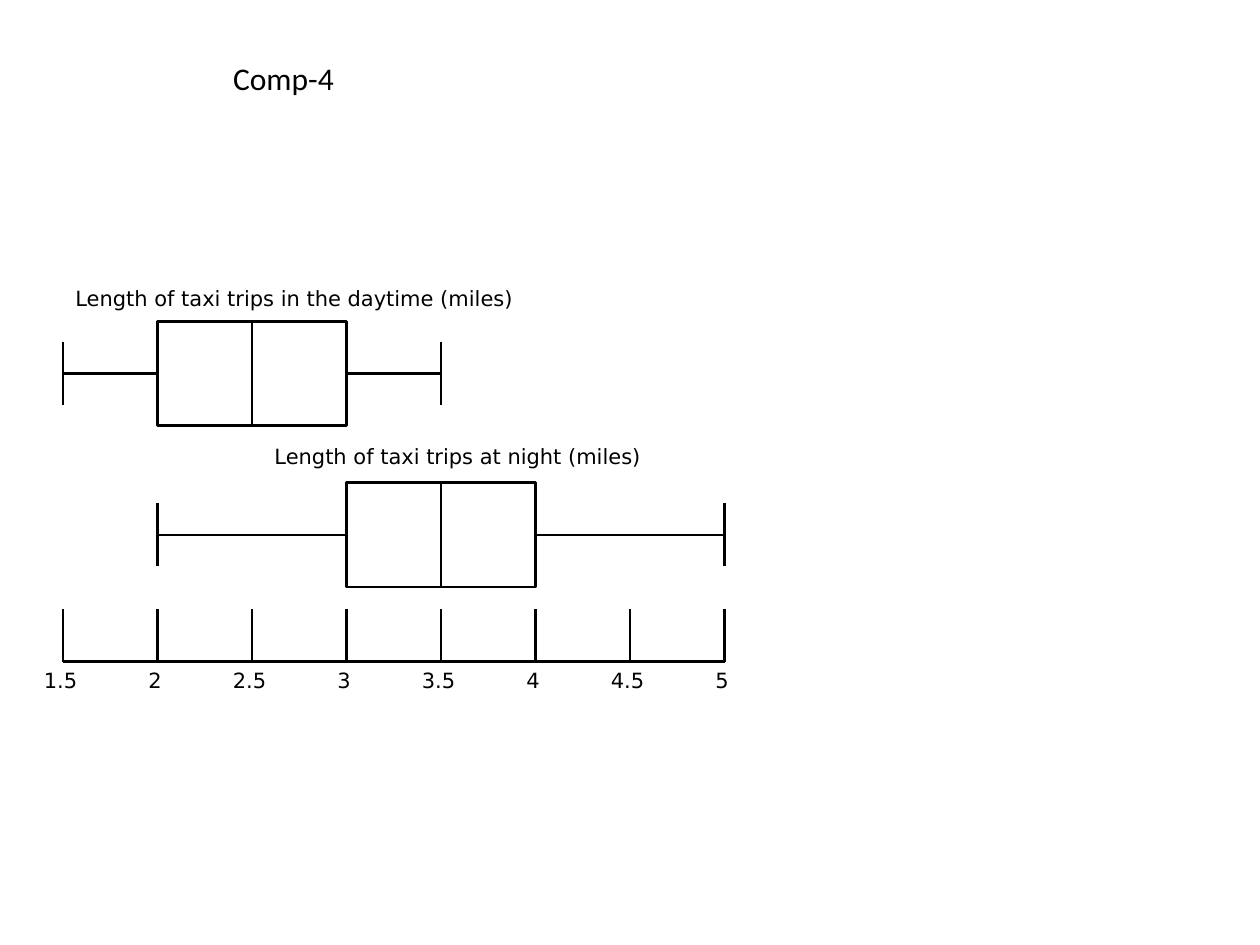
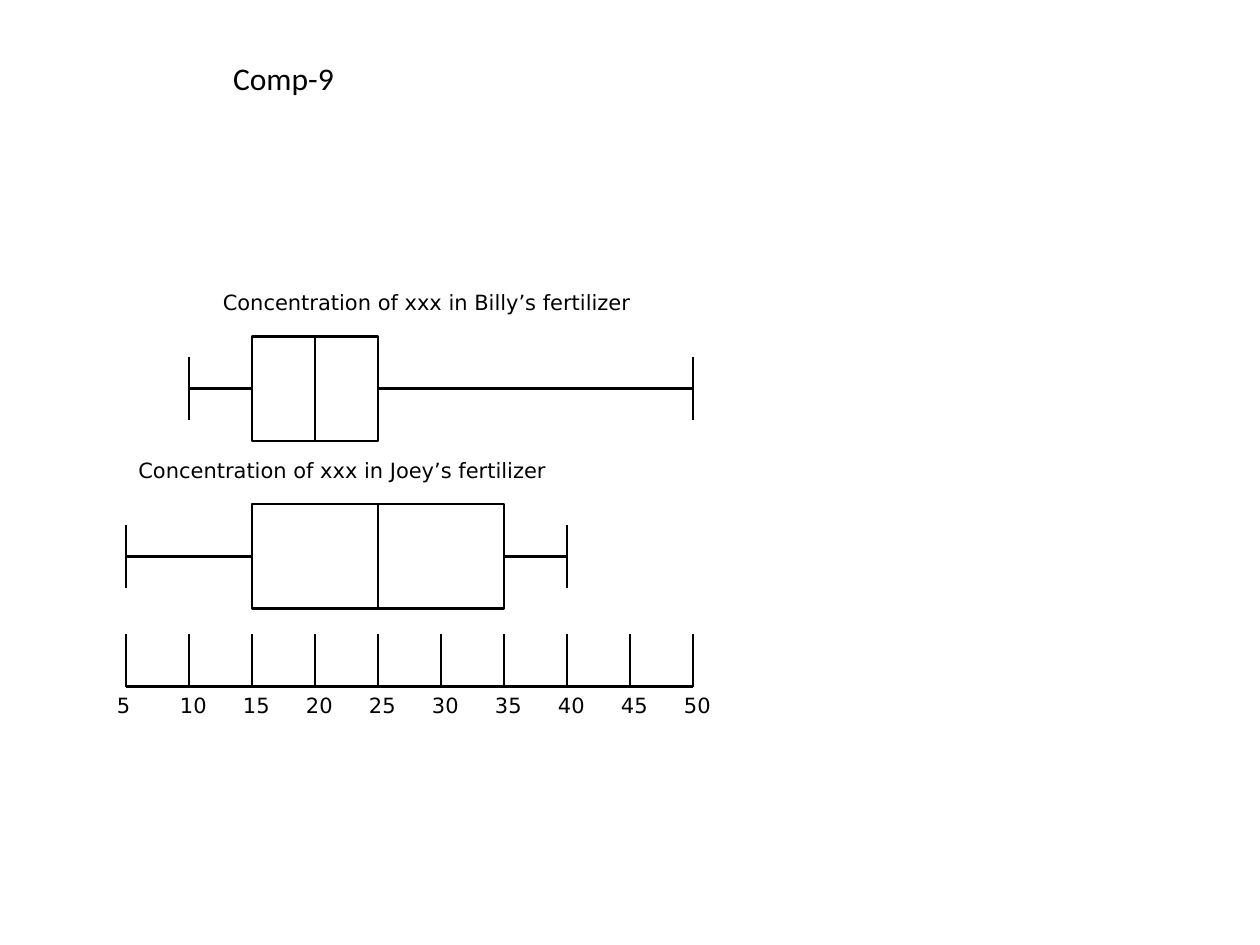
from dataclasses import dataclass

from lxml.etree import SubElement
from pptx import Presentation
from pptx.dml.color import RGBColor
from pptx.enum.shapes import MSO_CONNECTOR as Connector, MSO_SHAPE as Shape
from pptx.enum.text import MSO_ANCHOR as Anchor, MSO_AUTO_SIZE as AutoSize, PP_ALIGN as Align
from pptx.oxml.ns import qn
from pptx.util import Inches, Pt

COLORS = {"ink": "000000", "paper": "FFFFFF"}
TITLE_FONT = {"name": "Calibri", "size": Pt(18), "bold": False}
LABEL_FONT = {"name": "DejaVu Sans", "size": Pt(12), "bold": False}
FRAME_FORMAT = {"word_wrap": True, "auto_size": AutoSize.SHAPE_TO_FIT_TEXT,
                "vertical_anchor": Anchor.TOP}
TITLE_BOX = (1.75, 0.42, 1.5, 0.4)
LINE_WIDTH = Pt(1.5)
LABEL_HEIGHT = 0.3
BOX_HEIGHT = 0.83
CAP_HEIGHT = 0.5
TICK_HEIGHT = 0.42
# Number of characters in a tick label: (offset left of its tick, width)
TICK_LABEL_SIZES = {1: (0.17, 0.33), 2: (0.17, 0.42), 3: (0.25, 0.5)}


@dataclass
class Scale:
    """Maps data values to inches across the slide."""
    left: float
    first: float
    step: float
    count: int
    inches_per_step: float

    def x(self, value):
        return self.left + (value - self.first) / self.step * self.inches_per_step

    def ticks(self):
        return [self.first + self.step * i for i in range(self.count)]


@dataclass
class BoxPlot:
    caption: str
    caption_box: tuple  # left, top, width
    top: float
    summary: tuple      # minimum, lower quartile, median, upper quartile, maximum


def color(name):
    return RGBColor.from_string(COLORS[name])


def set_all(target, values):
    for name, value in values.items():
        setattr(target, name, value)


def write(frame, words, font_format):
    set_all(frame, FRAME_FORMAT)
    frame.text = words
    paragraph = frame.paragraphs[0]
    paragraph.alignment = Align.LEFT
    font = paragraph.runs[0].font
    set_all(font, font_format)
    font.color.rgb = color("ink")


def add_title(slide, words):
    title = slide.shapes.title
    set_all(title, dict(zip(("left", "top", "width", "height"), map(Inches, TITLE_BOX))))
    write(title.text_frame, words, TITLE_FONT)


def add_label(shapes, words, left, top, width):
    label = shapes.add_textbox(*map(Inches, (left, top, width, LABEL_HEIGHT)))
    write(label.text_frame, words, LABEL_FONT)


def add_line(shapes, x1, y1, x2, y2):
    line = shapes.add_connector(Connector.STRAIGHT, *map(Inches, (x1, y1, x2, y2)))
    line.line.width = LINE_WIDTH
    line.line.color.rgb = color("ink")
    SubElement(line._element.spPr, qn("a:effectLst"))
    return line


def add_box_plot(shapes, scale, plot):
    low, lower, median, upper, high = map(scale.x, plot.summary)
    middle = plot.top + BOX_HEIGHT / 2
    for end in (low, high):
        add_line(shapes, end, middle - CAP_HEIGHT / 2, end, middle + CAP_HEIGHT / 2)
    add_line(shapes, low, middle, high, middle)

    box = shapes.add_shape(
        Shape.RECTANGLE, *map(Inches, (lower, plot.top, upper - lower, BOX_HEIGHT)))
    box.shadow.inherit = False
    box.fill.solid()
    box.fill.fore_color.rgb = color("paper")
    box.line.color.rgb = color("ink")
    box.line.width = LINE_WIDTH

    median_line = add_line(shapes, median, plot.top, median, plot.top + BOX_HEIGHT)
    if abs(median - (lower + upper) / 2) < 0.01:
        median_line.begin_connect(box, 0)
        median_line.end_connect(box, 2)
    add_label(shapes, plot.caption, *plot.caption_box)


def add_axis(shapes, scale, baseline):
    axis = shapes.add_group_shape().shapes
    ticks = scale.ticks()
    for value in ticks:
        words = f"{value:g}"
        offset, width = TICK_LABEL_SIZES[len(words)]
        add_label(axis, words, scale.x(value) - offset, baseline, width)
    add_line(axis, scale.x(ticks[0]), baseline, scale.x(ticks[-1]), baseline)
    for value in ticks:
        add_line(axis, scale.x(value), baseline, scale.x(value), baseline - TICK_HEIGHT)


def add_comparison_slide(deck, title, scale, baseline, plots):
    slide = deck.slides.add_slide(deck.slide_layouts.get_by_name("Title Only"))
    add_title(slide, title)
    for plot in plots:
        add_box_plot(slide.shapes, scale, plot)
    add_axis(slide.shapes, scale, baseline)


def main():
    deck = Presentation()
    deck.slide_width, deck.slide_height = Inches(10), Inches(7.5)
    add_comparison_slide(
        deck, "Comp-4", Scale(0.5, 1.5, 0.5, 8, 0.75), 5.25,
        [BoxPlot("Length of taxi trips in the daytime (miles)", (0.5, 2.22, 3.75),
                 2.55, (1.5, 2, 2.5, 3, 3.5)),
         BoxPlot("Length of taxi trips at night (miles)", (2.08, 3.47, 3.25),
                 3.83, (2, 3, 3.5, 4, 5))])
    add_comparison_slide(
        deck, "Comp-9", Scale(1, 5, 5, 10, 0.5), 5.45,
        [BoxPlot("Concentration of xxx in Billy’s fertilizer", (1.67, 2.25, 3.67),
                 2.67, (10, 15, 20, 25, 50)),
         BoxPlot("Concentration of xxx in Joey’s fertilizer", (1, 3.58, 3.83),
                 4, (5, 15, 25, 35, 40))])
    deck.save("out.pptx")


if __name__ == "__main__":
    main()
